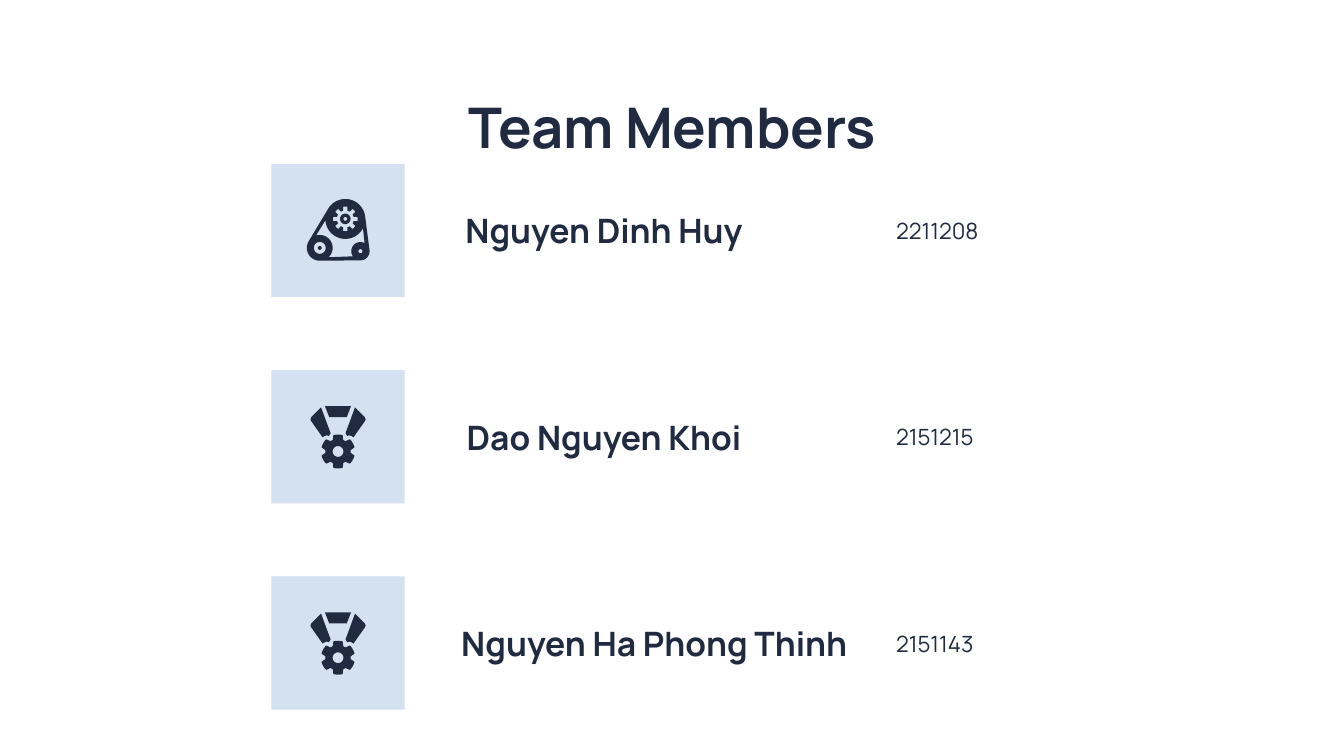
from math import cos, sin, radians

from pptx import Presentation
from pptx.dml.color import RGBColor
from pptx.enum.shapes import MSO_SHAPE
from pptx.enum.text import MSO_ANCHOR, MSO_AUTO_SIZE, PP_ALIGN
from pptx.util import Pt

COLORS = {"ink": "202A41", "tile": "D3E1F1"}
FONT = "Manrope"
TILE = 71.4
ROW_LEFT, FIRST_ROW_TOP, ROW_PITCH = 145.4, 87.8, 110.5
NAME_OFFSET, ID_OFFSET, ID_WIDTH = 82.8, 327.6, 60.5


def paint(shape, color):
    shape.fill.solid()
    shape.fill.fore_color.rgb = RGBColor.from_string(COLORS[color])
    shape.line.fill.background()
    shape.shadow.inherit = False


def write(box, text, size, align, anchor, bold=False):
    frame = box.text_frame
    frame.word_wrap = True
    frame.auto_size = MSO_AUTO_SIZE.NONE
    frame.vertical_anchor = anchor
    frame.margin_left = frame.margin_right = Pt(7.2)
    frame.margin_top = frame.margin_bottom = Pt(7.2)
    frame.text = text
    paragraph = frame.paragraphs[0]
    paragraph.alignment = align
    font = paragraph.runs[0].font
    font.name, font.size, font.bold = FONT, Pt(size), bold
    font.color.rgb = RGBColor.from_string(COLORS["ink"])


def arc(x, y, radius, start, end, steps=32):
    """Points on an arc; angles in degrees, clockwise from the right."""
    angles = [radians(start + (end - start) * i / steps) for i in range(steps + 1)]
    return [(x + radius * cos(a), y + radius * sin(a)) for a in angles]


def circle(x, y, radius):
    return arc(x, y, radius, 0, 360)


def gear(x, y, teeth, tip, root, tip_half, root_half):
    """Outline of a gear; the half angles set the width of a tooth."""
    points = []
    for i in range(teeth):
        middle = -90 + i * 360 / teeth
        points += arc(x, y, root, middle - root_half, middle - root_half, 1)[:1]
        points += arc(x, y, tip, middle - tip_half, middle + tip_half, 6)
        points += arc(x, y, root, middle + root_half, middle + root_half, 1)[:1]
    return points


def add_outline(slide, left, top, contours):
    """One filled shape; contours inside others become holes."""
    placed = [[(Pt(left + x), Pt(top + y)) for x, y in c] for c in contours]
    builder = slide.shapes.build_freeform(*placed[0][0], scale=1.0)
    builder.add_line_segments(placed[0][1:], close=True)
    for contour in placed[1:]:
        builder.move_to(*contour[0])
        builder.add_line_segments(contour[1:], close=True)
    outline = builder.convert_to_shape()
    paint(outline, "ink")
    return outline


def add_belt_icon(slide, left, top):
    main, idler, tensioner = (39.6, 29.5), (25.9, 45), (47.7, 46.8)
    belt = (arc(*main, 10.7, 209, 353) + arc(*tensioner, 4.9, -7, 90)
            + arc(*idler, 6.9, 90, 209))
    gap = (arc(*main, 10.7, 176, 28) + arc(*tensioner, 4.9, 297, 146)
           + arc(*idler, 6.9, 47, -107))
    parts = [
        [belt, gap, gear(*main, 8, 6.6, 4.6, 10, 14),
         circle(*idler, 3.2), circle(*tensioner, 1.1)],
        [circle(*main, 2.8), circle(*main, 1)],
        [circle(*idler, 1)],
    ]
    slide.shapes.add_group_shape([add_outline(slide, left, top, p) for p in parts])


def add_medal_icon(slide, left, top):
    middle, gear_y = TILE / 2, 43.6
    ribbon = [(26.6, 20.0), (21.4, 25.2), (20.9, 26.4), (21.2, 27.2), (27.4, 36),
              (28.6, 35.3), (29.7, 35), (30.8, 35.3), (31.7, 33.8)]
    mirrored = [(2 * middle - x, y) for x, y in ribbon]
    bar = [(28.7, 19.3), (31, 25.2), (40.4, 25.2), (42.7, 19.3)]
    badge = [gear(middle, gear_y, 6, 9.1, 6.8, 16, 24), circle(middle, gear_y, 2.9)]
    parts = [[ribbon], [mirrored], [bar], badge]
    slide.shapes.add_group_shape([add_outline(slide, left, top, p) for p in parts])


def add_member(slide, left, top, name, name_width, student_id, add_icon):
    tile = slide.shapes.add_shape(
        MSO_SHAPE.RECTANGLE, Pt(left), Pt(top), Pt(TILE), Pt(TILE))
    paint(tile, "tile")
    add_icon(slide, left, top)
    name_box = slide.shapes.add_textbox(
        Pt(left + NAME_OFFSET), Pt(top), Pt(name_width), Pt(TILE))
    write(name_box, name, 18, PP_ALIGN.CENTER, MSO_ANCHOR.MIDDLE, bold=True)
    id_box = slide.shapes.add_textbox(
        Pt(left + ID_OFFSET), Pt(top), Pt(ID_WIDTH), Pt(TILE))
    write(id_box, student_id, 12, PP_ALIGN.LEFT, MSO_ANCHOR.MIDDLE)


def add_title(slide, left, top, width, height):
    title = slide.shapes.title
    title.left, title.top = Pt(left), Pt(top)
    title.width, title.height = Pt(width), Pt(height)
    write(title, "Team Members", 30, PP_ALIGN.CENTER, MSO_ANCHOR.TOP, bold=True)


def main():
    deck = Presentation()
    deck.slide_width, deck.slide_height = Pt(720), Pt(405)
    slide = deck.slides.add_slide(deck.slide_layouts[5])
    add_title(slide, 56.7, 42.5, 607, 45.4)
    members = [
        ("Nguyen Dinh Huy", 190.8, "2211208", add_belt_icon),
        ("Dao Nguyen Khoi", 190.8, "2151215", add_medal_icon),
        ("Nguyen Ha Phong Thinh", 244.8, "2151143", add_medal_icon),
    ]
    for row, member in enumerate(members):
        add_member(slide, ROW_LEFT, FIRST_ROW_TOP + row * ROW_PITCH, *member)
    deck.save("out.pptx")


if __name__ == "__main__":
    main()
